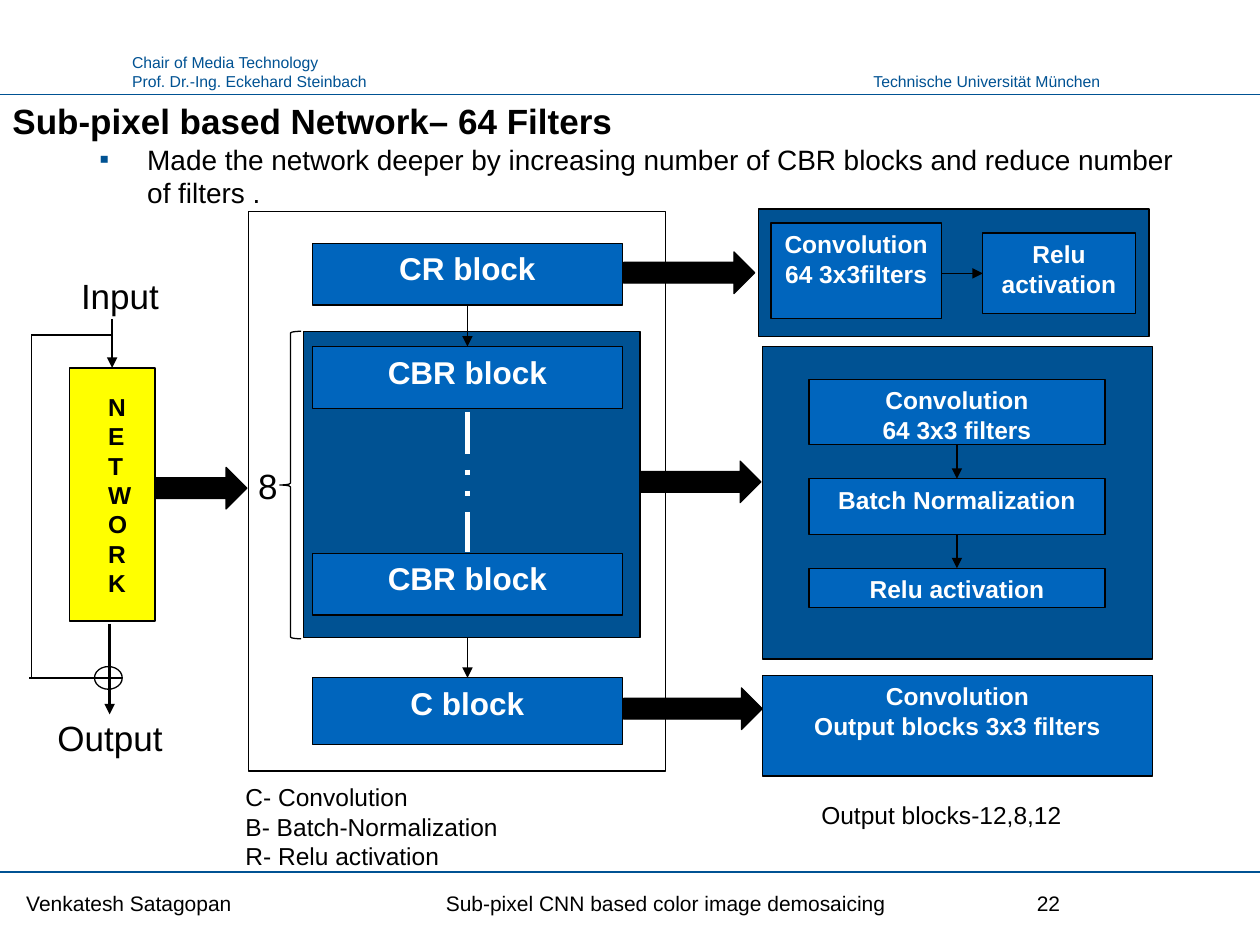
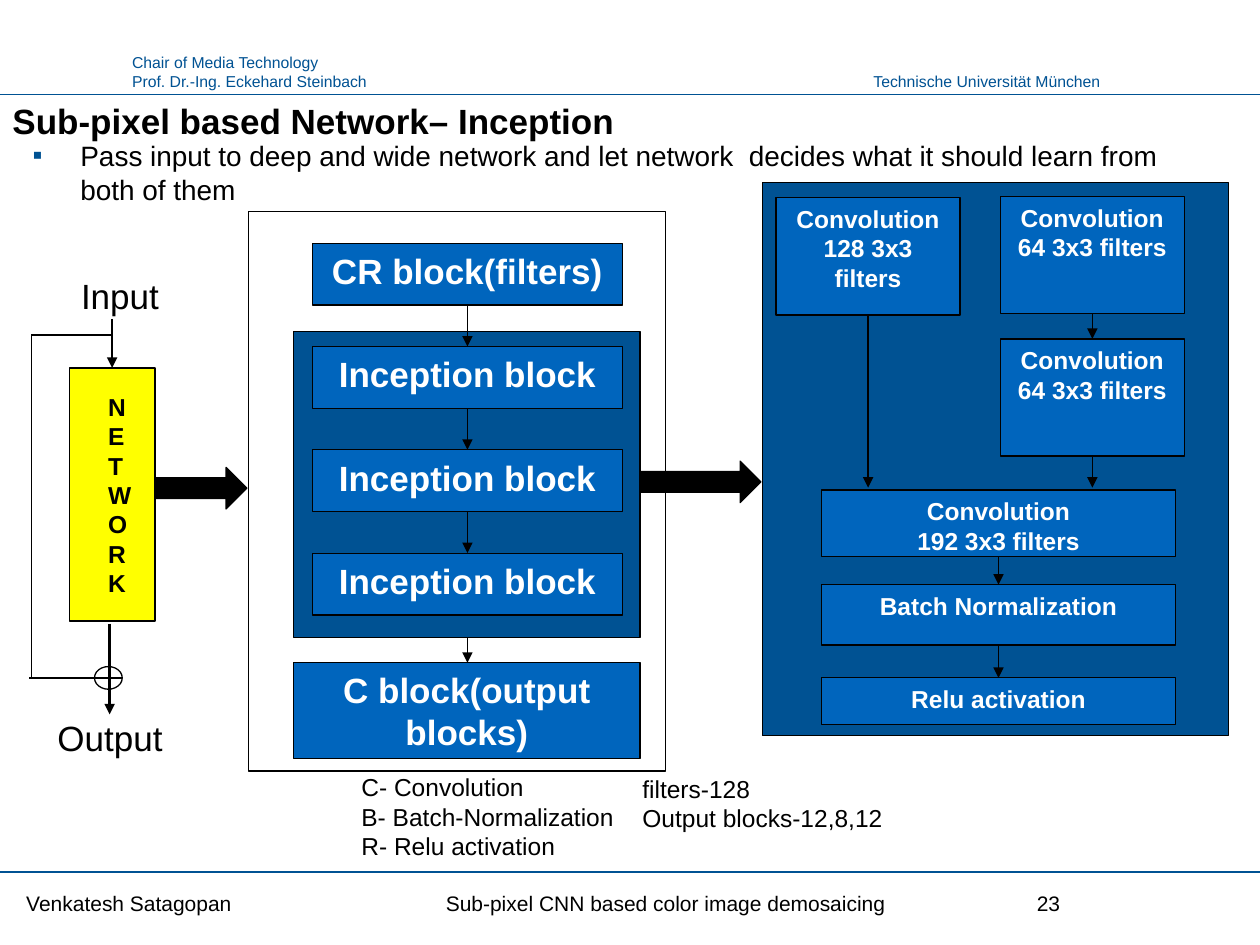
from lxml import etree
from pptx import Presentation
from pptx.dml.color import RGBColor
from pptx.enum.dml import MSO_LINE
from pptx.enum.shapes import MSO_CONNECTOR, MSO_SHAPE
from pptx.enum.text import MSO_ANCHOR, PP_ALIGN
from pptx.oxml.ns import qn
from pptx.util import Inches, Pt

LEFT, CENTER, RIGHT = PP_ALIGN.LEFT, PP_ALIGN.CENTER, PP_ALIGN.RIGHT
TOP, MIDDLE = MSO_ANCHOR.TOP, MSO_ANCHOR.MIDDLE
RECT, ARROW = MSO_SHAPE.RECTANGLE, MSO_SHAPE.RIGHT_ARROW
BRACE, JOIN = MSO_SHAPE.LEFT_BRACE, MSO_SHAPE.FLOWCHART_OR
STRAIGHT = MSO_CONNECTOR.STRAIGHT
DASH = MSO_LINE.DASH_DOT_DOT
FONT = "Arial"
COLORS = {
    "navy": "005293",
    "blue": "0065BD",
    "black": "000000",
    "white": "FFFFFF",
    "yellow": "FFFF00",
}
STAGE = (1.97, 1.68, 3.31, 4.44)
LEGEND = "C- Convolution\nB- Batch-Normalization\nR- Relu activation"


def color(name):
    return RGBColor.from_string(COLORS[name])


def within(box, x, y, w, h):
    return box[0] + x, box[1] + y, w, h


def child(parent, tag, **attrs):
    return etree.SubElement(parent, qn(tag), attrs)


def mark(para):
    props = para._p.get_or_add_pPr()
    props.set("marL", str(Inches(0.88)))
    props.set("indent", str(Inches(-0.38)))
    child(child(props, "a:buClr"), "a:srgbClr", val=COLORS["navy"])
    child(props, "a:buFont", typeface=FONT)
    child(props, "a:buChar", char="▪")


def write(shape, words, size=14, ink="black", bold=False, align=LEFT,
          anchor=TOP, bullet=False, tab=None):
    frame = shape.text_frame
    frame.word_wrap = True
    frame.vertical_anchor = anchor
    for i, part in enumerate(words.split("\n")):
        para = frame.paragraphs[0] if i == 0 else frame.add_paragraph()
        para.alignment = align
        if bullet:
            mark(para)
        if tab:
            tabs = child(para._p.get_or_add_pPr(), "a:tabLst")
            child(tabs, "a:tab", pos=str(Inches(tab)), algn="l")
        run = para.add_run()
        run.text = part
        run.font.name = FONT
        run.font.size = Pt(size)
        run.font.bold = bold
        run.font.color.rgb = color(ink)


def text(slide, box, words, **style):
    shape = slide.shapes.add_textbox(*map(Inches, box))
    write(shape, words, **style)


def form(slide, box, fill, kind=RECT):
    shape = slide.shapes.add_shape(kind, *map(Inches, box))
    shape.shadow.inherit = False
    shape.fill.solid()
    shape.fill.fore_color.rgb = color(fill)
    shape.line.color.rgb = color("black")
    shape.line.width = Pt(0.75)
    return shape


def block(slide, box, words, size=14):
    write(form(slide, box, "blue"), words, size=size, ink="white",
          bold=True, align=CENTER)


def line(slide, start, end, ink="black", width=0.75, head=False, dash=None):
    link = slide.shapes.add_connector(STRAIGHT, *map(Inches, start + end))
    link.line.color.rgb = color(ink)
    link.line.width = Pt(width)
    if dash:
        link.line.dash_style = dash
    props = link.element.spPr
    if head:
        child(props.find(qn("a:ln")), "a:tailEnd", type="triangle")
    child(props, "a:effectLst")


def drop(slide, x, top, end, **style):
    line(slide, (x, top), (x, end), head=True, **style)


def thick(slide, x, y, w):
    form(slide, (x, y, w, 0.33), "black", ARROW)


def base(deck, title, page):
    slide = deck.slides.add_slide(deck.slide_layouts[6])
    text(slide, (6.31, 0.52, 2.52, 0.25), "Technische Universität München",
         size=9, ink="navy", align=RIGHT)
    text(slide, (0.95, 0.37, 2.5, 0.4),
         "Chair of Media Technology\nProf. Dr.-Ing. Eckehard Steinbach",
         size=9, ink="navy")
    for y in (0.75, 6.92):
        line(slide, (0, y), (10, y), ink="navy")
    text(slide, (0, 0.74, 6.45, 0.44), title, size=20, bold=True)
    text(slide, (0.11, 7, 7.82, 0.33),
         "Venkatesh Satagopan\tSub-pixel CNN based color image demosaicing",
         size=12, anchor=MIDDLE, tab=3.33)
    text(slide, (8.13, 7, 1.31, 0.33), str(page), size=12, anchor=MIDDLE)
    return slide


def flow(slide, box):
    x, y = box[:2]
    mid, skip, low = x + 0.64, y + 0.53, y + 3.25
    form(slide, within(box, 0.3, 0.79, 0.68, 2.01), "yellow")
    text(slide, within(box, 0.51, 0.93, 0.4, 1.75), "\n".join("NETWORK"),
         bold=True)
    text(slide, within(box, 0, 0, 1.11, 0.44), "Input", size=20, align=RIGHT)
    form(slide, within(box, 0.5, 3.16, 0.22, 0.18), "white", JOIN)
    drop(slide, x + 0.62, y + 2.82, y + 3.54, width=1.75)
    text(slide, within(box, 0.08, 3.51, 1.06, 0.4), "Output", size=20,
         align=RIGHT)
    drop(slide, mid, y + 0.4, y + 0.79)
    line(slide, (mid, skip), (x, skip))
    line(slide, (x, skip), (x, low))
    line(slide, (x + 0.72, low), (x - 0.02, low))
    thick(slide, x + 0.98, y + 1.58, 0.73)


def stage(slide, box, core, first, inner, last, count, size):
    x, y = box[:2]
    mid, high = x + 1.74, 0.49
    left, wide = core
    form(slide, box, "white")
    form(slide, within(box, left, 0.95, wide, 2.43), "navy")
    block(slide, within(box, 0.51, 0.25, 2.46, high), first, size)
    step = 1.64 / (count - 1)
    tops = [1.07 + i * step for i in range(count)]
    for top in tops:
        block(slide, within(box, 0.51, top, 2.46, high), inner, size)
    drop(slide, mid, y + 0.74, y + tops[0])
    name, place = last
    block(slide, within(box, *place), name, size)
    drop(slide, mid, y + 3.38, y + place[1])
    if count == 2:
        line(slide, (mid, y + 1.59), (mid, y + 2.7), ink="white", width=3,
             dash=DASH)
    else:
        for top, after in zip(tops, tops[1:]):
            drop(slide, mid, y + top + high, y + after)


def stack(slide, box, rows):
    x, y, w = box[:3]
    for top, high, words in rows:
        block(slide, within(box, 0, top, w, high), words)
    for (top, high, _), after in zip(rows, rows[1:]):
        drop(slide, x + w / 2, y + top + high, y + after[0])


def relu(slide, box):
    x, y = box[:2]
    form(slide, box, "navy")
    block(slide, within(box, 0.1, 0.11, 1.35, 0.76),
          "Convolution\n64 3x3filters")
    block(slide, within(box, 1.78, 0.19, 1.21, 0.64), "Relu activation")
    line(slide, (x + 1.45, y + 0.51), (x + 1.78, y + 0.51), head=True)


def batch(slide, box):
    form(slide, box, "navy")
    stack(slide, within(box, 0.37, 0.26, 2.35, 1.81), [
        (0, 0.52, "Convolution\n64 3x3 filters"),
        (0.79, 0.44, "Batch Normalization"),
        (1.5, 0.31, "Relu activation"),
    ])


def branch(slide, box):
    x, y = box[:2]
    small = "Convolution\n64 3x3 filters"
    form(slide, box, "navy")
    block(slide, within(box, 0.11, 0.12, 1.46, 0.93),
          "Convolution\n128 3x3 filters")
    stack(slide, within(box, 1.89, 0.11, 1.46, 2.06),
          [(0, 0.93, small), (1.13, 0.93, small)])
    stack(slide, within(box, 0.47, 2.44, 2.81, 1.86), [
        (0, 0.53, "Convolution\n192 3x3 filters"),
        (0.75, 0.48, "Batch Normalization"),
        (1.49, 0.37, "Relu activation"),
    ])
    drop(slide, x + 0.84, y + 1.05, y + 2.42)
    drop(slide, x + 2.62, y + 2.17, y + 2.42)


def filters(deck):
    slide = base(deck, "Sub-pixel based Network– 64 Filters", 22)
    text(slide, (0.19, 1.08, 9.32, 0.64),
         "Made the network deeper by increasing number of CBR blocks "
         "and reduce number of filters .", size=16, bullet=True)
    relu(slide, (6.02, 1.66, 3.1, 1.01))
    batch(slide, (6.05, 2.75, 3.1, 2.48))
    block(slide, (6.05, 5.36, 3.1, 0.8),
          "Convolution\nOutput blocks 3x3 filters")
    stage(slide, STAGE, (0.44, 2.67), "CR block", "CBR block",
          ("C block", (0.51, 3.7, 2.46, 0.53)), 2, 18)
    for x, y, w in ((4.95, 2, 1.04), (5.08, 3.66, 0.96), (4.95, 5.46, 1.1)):
        thick(slide, x, y, w)
    flow(slide, (0.25, 2.13, 1.71, 3.91))
    form(slide, (2.22, 2.63, 0.17, 2.44), "white", BRACE)
    text(slide, (1.95, 3.64, 0.37, 0.44), "8", size=20)
    text(slide, (1.85, 6.16, 3.1, 0.81), LEGEND)
    text(slide, (6.42, 6.3, 3.1, 0.34), "Output blocks-12,8,12")


def inception(deck):
    slide = base(deck, "Sub-pixel based Network– Inception", 23)
    text(slide, (-0.34, 1.05, 10.08, 0.64),
         "Pass input to deep and wide network and let network  decides "
         "what it should learn from both of them", size=16, bullet=True)
    branch(slide, (6.05, 1.45, 3.7, 4.39))
    stage(slide, STAGE, (0.36, 2.75), "CR block(filters)", "Inception block",
          ("C block(output blocks)", (0.36, 3.58, 2.75, 0.76)), 3, 20)
    thick(slide, 5.08, 3.66, 0.96)
    flow(slide, (0.25, 2.13, 1.71, 3.91))
    text(slide, (2.77, 6.08, 3.1, 0.81), LEGEND)
    text(slide, (5, 6.09, 3.1, 0.57), "filters-128\nOutput blocks-12,8,12")


def main():
    deck = Presentation()
    deck.slide_width, deck.slide_height = Inches(10), Inches(7.5)
    filters(deck)
    inception(deck)
    deck.save("out.pptx")


if __name__ == "__main__":
    main()
